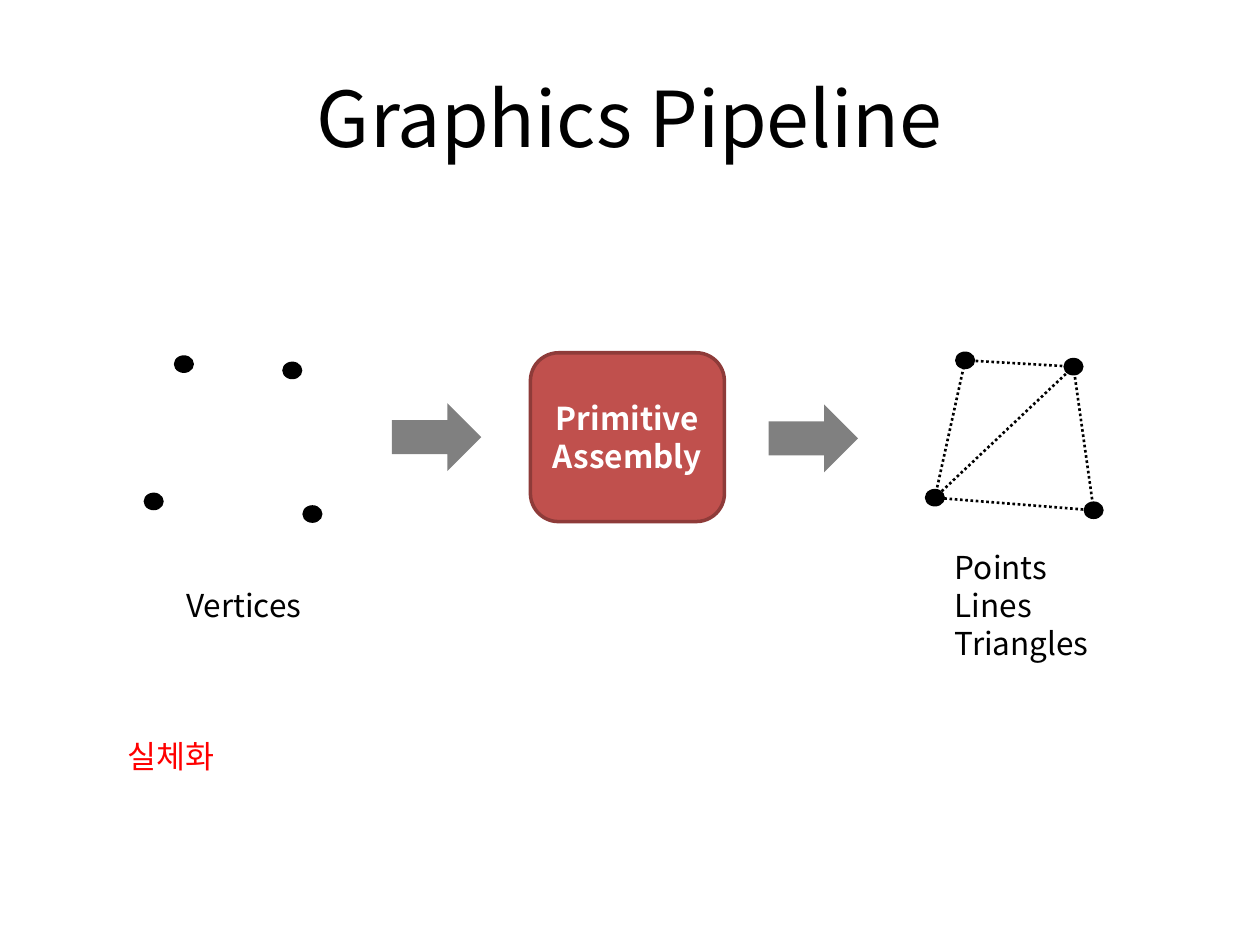
"""Build the Graphics Pipeline slide on primitive assembly."""
import pptx
import pptx.util
import pptx.dml.color
import pptx.enum.dml
import pptx.enum.shapes
import pptx.enum.text
import pptx.oxml.ns
import lxml.etree

Inches, Pt = pptx.util.Inches, pptx.util.Pt
RGBColor = pptx.dml.color.RGBColor
SHAPE = pptx.enum.shapes.MSO_SHAPE
ALIGN = pptx.enum.text.PP_ALIGN
ANCHOR = pptx.enum.text.MSO_ANCHOR

BLACK = RGBColor(0x00, 0x00, 0x00)
WHITE = RGBColor(0xFF, 0xFF, 0xFF)
GRAY = RGBColor(0x80, 0x80, 0x80)
BRICK = RGBColor(0xC0, 0x50, 0x4D)
MAROON = RGBColor(0x8E, 0x3B, 0x39)
RED = RGBColor(0xFF, 0x00, 0x00)
FONT = "Noto Sans CJK KR"

TITLE = "Graphics Pipeline"
STAGE = "Primitive Assembly"
STAGE_BOX = (4.21, 2.8, 1.54, 1.34)
DOT = (0.16, 0.14)
QUAD = [(0.24, 0), (0, 1.09), (1.26, 1.19), (1.1, 0.05)]
LEFT_AT, RIGHT_AT = (1.22, 2.89), (7.42, 2.86)
EDGES = [(1, 0), (0, 3), (3, 2), (2, 1), (3, 1)]
ARROWS = [(3.11, 3.2, 0.71, 0.54), (6.1, 3.21, 0.71, 0.54)]
LABELS = [
    (["Vertices"], (1.38, 4.6, 1.18, 0.4), BLACK),
    (["Points", "Lines", "Triangles"], (7.48, 4.3, 1.52, 1.01), BLACK),
    (["실체화"], (0.91, 5.8, 5.91, 0.4), RED),
]


def write(frame, lines, size, color, align=ALIGN.LEFT, bold=False, pitch=None):
    frame.word_wrap = True
    look = {"name": FONT, "size": Pt(size), "bold": bold}
    for i, line in enumerate(lines):
        para = frame.add_paragraph() if i else frame.paragraphs[0]
        para.alignment = align
        if pitch:
            para.line_spacing = Pt(pitch)
        run = para.add_run()
        run.text = line
        for key, value in look.items():
            setattr(run.font, key, value)
        run.font.color.rgb = color
        for tag in ("a:ea", "a:cs"):
            face = lxml.etree.SubElement(
                run.font._element, pptx.oxml.ns.qn(tag))
            face.set("typeface", FONT)


def block(slide, kind, box, fill):
    shape = slide.shapes.add_shape(kind, *map(Inches, box))
    shape.shadow.inherit = False
    shape.fill.solid()
    shape.fill.fore_color.rgb = fill
    shape.line.fill.background()
    return shape


def place(origin):
    return [(origin[0] + x, origin[1] + y) for x, y in QUAD]


def dots(slide, points):
    for x, y in points:
        box = (x - DOT[0] / 2, y - DOT[1] / 2, *DOT)
        block(slide, SHAPE.FLOWCHART_CONNECTOR, box, BLACK)


def edge(slide, start, end):
    line = slide.shapes.add_connector(
        pptx.enum.shapes.MSO_CONNECTOR.STRAIGHT, *map(Inches, start + end))
    line.line.color.rgb = BLACK
    line.line.width = Pt(1.5)
    line.line.dash_style = pptx.enum.dml.MSO_LINE.ROUND_DOT
    lxml.etree.SubElement(
        line._element.spPr, pptx.oxml.ns.qn("a:effectLst"))


def main():
    deck = pptx.Presentation()
    deck.slide_width, deck.slide_height = Inches(10), Inches(7.5)
    slide = deck.slides.add_slide(deck.slide_layouts[5])

    title = slide.shapes.title
    spots = dict(zip(("left", "top", "width", "height"), (0.5, 0.3, 9, 1.25)))
    for key, value in spots.items():
        setattr(title, key, Inches(value))
    title.text_frame.vertical_anchor = ANCHOR.MIDDLE
    write(title.text_frame, [TITLE], 44, BLACK, ALIGN.CENTER)

    dots(slide, place(LEFT_AT))
    for box in ARROWS:
        block(slide, SHAPE.RIGHT_ARROW, box, GRAY)

    stage = block(slide, SHAPE.ROUNDED_RECTANGLE, STAGE_BOX, BRICK)
    stage.line.color.rgb = MAROON
    stage.line.width = Pt(2)
    stage.text_frame.vertical_anchor = ANCHOR.MIDDLE
    write(stage.text_frame, [STAGE], 18, WHITE, ALIGN.CENTER, True, 21.6)

    points = place(RIGHT_AT)
    for start, end in EDGES:
        edge(slide, points[start], points[end])
    dots(slide, points)

    for lines, box, color in LABELS:
        label = slide.shapes.add_textbox(*map(Inches, box))
        write(label.text_frame, lines, 18, color, pitch=21.6)

    deck.save("out.pptx")


if __name__ == "__main__":
    main()
